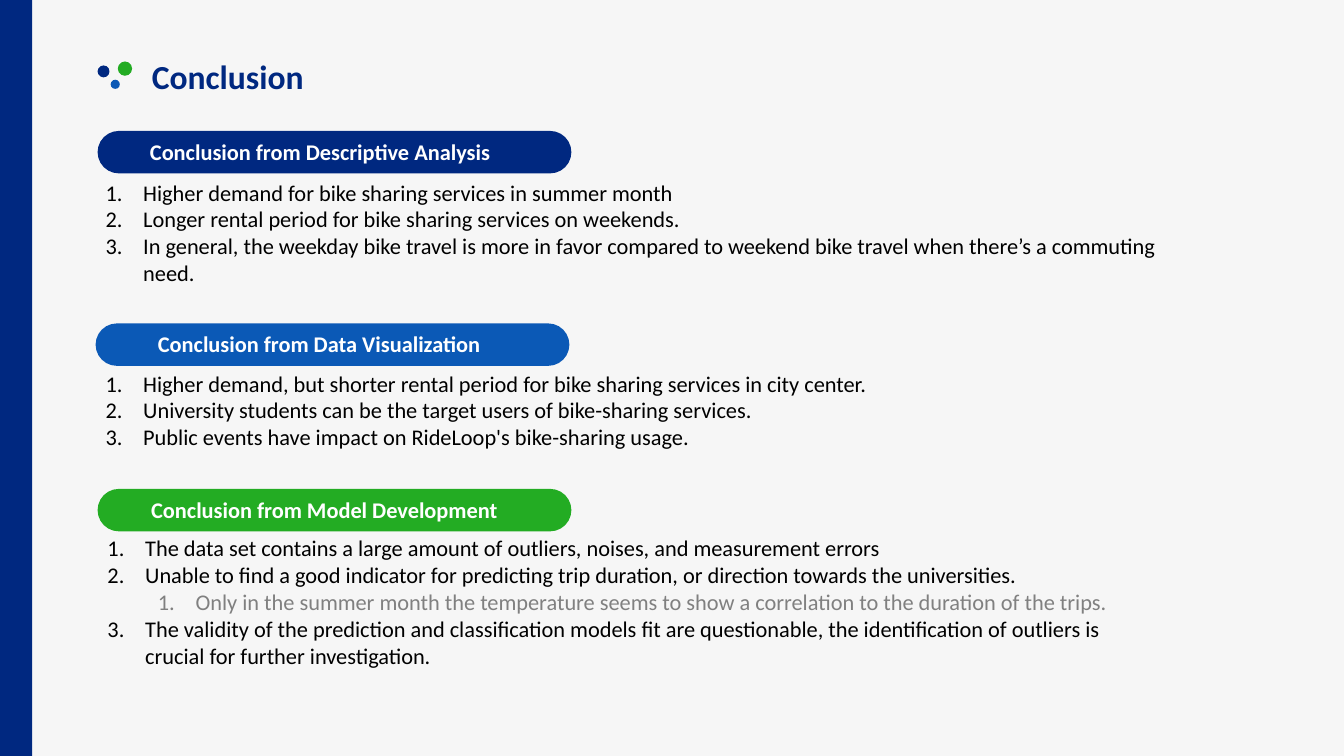
import pptx
import pptx.util
import pptx.dml.color
import pptx.enum.shapes
import pptx.enum.text
from lxml import etree
from pptx.util import Cm

THEME = {
    "font": "Calibri",
    "title_size": 24,
    "body_size": 16,
    "background": "F6F6F6",
    "navy": "002880",
    "blue": "0B59B6",
    "green": "23AC23",
    "white": "FFFFFF",
    "black": "000000",
    "gray": "808080",
}
SHAPES = pptx.enum.shapes.MSO_SHAPE
ALIGN = pptx.enum.text.PP_ALIGN


def rgb(name):
    return pptx.dml.color.RGBColor.from_string(THEME[name])


def write(paragraph, text, *, size="body_size", color="black", bold=False,
          align=ALIGN.LEFT, spacing=1.0, numbered=False, level=0):
    paragraph.level = level
    paragraph.alignment = align
    paragraph.line_spacing = spacing
    if numbered:
        properties = paragraph._p.get_or_add_pPr()
        properties.set("marL", str(Cm(0.95 + 1.27 * level)))
        properties.set("indent", str(-Cm(0.95)))
        numbering = etree.SubElement(properties, pptx.oxml.ns.qn("a:buAutoNum"))
        numbering.set("type", "arabicPeriod")
    run = paragraph.add_run()
    run.text = text
    run.font.name = THEME["font"]
    run.font.size = pptx.util.Pt(THEME[size])
    run.font.bold = bold
    run.font.color.rgb = rgb(color)


deck = pptx.Presentation()
deck.slide_width, deck.slide_height = Cm(33.87), Cm(19.05)
slide = deck.slides.add_slide(deck.slide_layouts[6])
slide.background.fill.solid()
slide.background.fill.fore_color.rgb = rgb("background")

sections = [
    ("Conclusion from Descriptive Analysis", "navy", 2.46, 3.3, 3.53, 2.41, 4.38, [
        ("Higher demand for bike sharing services in summer month", 0),
        ("Longer rental period for bike sharing services on weekends.", 0),
        ("In general, the weekday bike travel is more in favor compared to weekend "
         "bike travel when there’s a commuting need.", 0),
    ]),
    ("Conclusion from Data Visualization", "blue", 2.41, 8.15, 3.73, 2.41, 9.19, [
        ("Higher demand, but shorter rental period for bike sharing services in city center.", 0),
        ("University students can be the target users of bike-sharing services.", 0),
        ("Public events have impact on RideLoop's bike-sharing usage.", 0),
    ]),
    ("Conclusion from Model Development", "green", 2.46, 12.32, 3.56, 2.46, 13.34, [
        ("The data set contains a large amount of outliers, noises, and measurement errors", 0),
        ("Unable to find a good indicator for predicting trip duration, or direction "
         "towards the universities.", 0),
        ("Only in the summer month the temperature seems to show a correlation to the "
         "duration of the trips.", 1),
        ("The validity of the prediction and classification models fit are questionable, "
         "the identification of outliers is crucial for further investigation.", 0),
    ]),
]

decorations = [
    (SHAPES.RECTANGLE, 0, 0, 0.81, 19.05, "navy"),
    (SHAPES.OVAL, 2.79, 2.01, 0.23, 0.23, "blue"),
    (SHAPES.OVAL, 2.46, 1.65, 0.3, 0.3, "navy"),
    (SHAPES.OVAL, 2.97, 1.55, 0.36, 0.36, "green"),
]
for heading, color, pill_left, pill_top, *rest in sections:
    decorations.append((SHAPES.ROUNDED_RECTANGLE, pill_left, pill_top, 11.94, 1.07, color))

for kind, left, top, width, height, color in decorations:
    decoration = slide.shapes.add_shape(kind, Cm(left), Cm(top), Cm(width), Cm(height))
    decoration.shadow.inherit = False
    decoration.fill.solid()
    decoration.fill.fore_color.rgb = rgb(color)
    decoration.line.fill.background()
    if kind == SHAPES.ROUNDED_RECTANGLE:
        decoration.adjustments[0] = 0.5

title = slide.shapes.add_textbox(Cm(2.92), Cm(1.09), Cm(5.64), Cm(1.4)).text_frame
title.word_wrap = True
write(title.paragraphs[0], "Conclusion", size="title_size", color="navy", bold=True,
      align=ALIGN.CENTER, spacing=1.2)

for heading, color, pill_left, pill_top, label_left, list_left, list_top, findings in sections:
    label = slide.shapes.add_textbox(
        Cm(label_left), Cm(pill_top + 0.05), Cm(17.96), Cm(0.94)).text_frame
    label.word_wrap = True
    write(label.paragraphs[0], heading, color="white", bold=True)

    conclusions = slide.shapes.add_textbox(
        Cm(list_left), Cm(list_top), Cm(27.1), Cm(0.25 + 0.68 * len(findings))).text_frame
    conclusions.word_wrap = True
    for index, (finding, level) in enumerate(findings):
        paragraph = conclusions.add_paragraph() if index else conclusions.paragraphs[0]
        write(paragraph, finding, numbered=True, level=level,
              color="gray" if level else "black")

deck.save("out.pptx")
